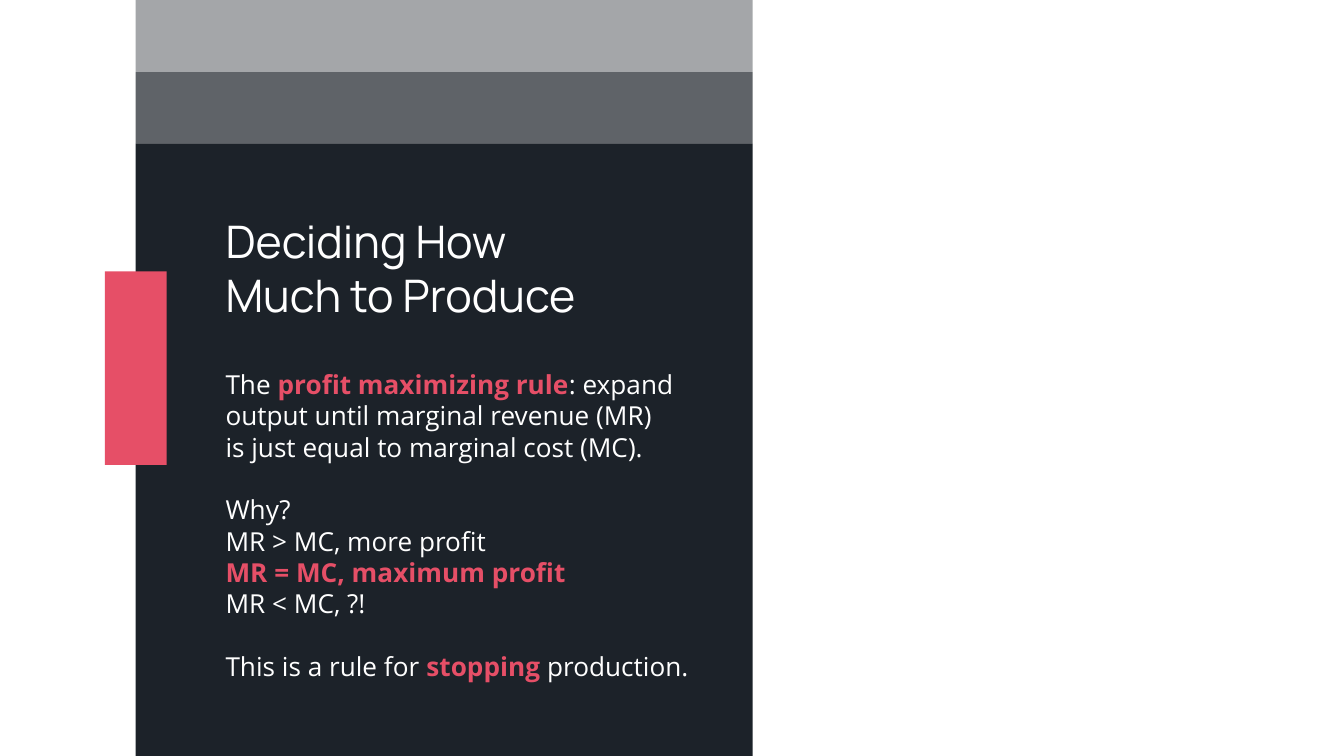
from pptx import Presentation
from pptx.dml.color import RGBColor
from pptx.enum.shapes import MSO_SHAPE as Shape
from pptx.enum.text import MSO_ANCHOR as Anchor, MSO_AUTO_SIZE as AutoSize
from pptx.oxml.ns import qn
from pptx.util import Inches, Pt
from lxml.etree import SubElement

NAVY, CORAL, WHITE = "1C2229", "E64F67", "FFFFFF"
SLIDE_WIDTH, SLIDE_HEIGHT = 10, 10 * 9 / 16
BLANK_LINE = 16.8  # points, one body line

RULE = [
    # (space before, [(text, highlighted), ...])
    (0, [("The ", False), ("profit maximizing rule", True),
         (": expand output until marginal revenue (MR)", False)]),
    (0, [("is just equal to marginal cost (MC).", False)]),
    (BLANK_LINE, [("Why?", False)]),
    (0, [("MR > MC, more profit", False)]),
    (0, [("MR = MC, maximum profit", True)]),
    (0, [("MR < MC, ?!", False)]),
    (BLANK_LINE, [("This is a rule for ", False), ("stopping ", True),
                  ("production.", False)]),
]


def color(value):
    return RGBColor.from_string(value)


def add_block(page, left, top, width, height, fill, opacity=100):
    block = page.shapes.add_shape(Shape.RECTANGLE, Inches(left), Inches(top),
                                  Inches(width), Inches(height))
    block.shadow.inherit = False
    block.line.fill.background()
    block.fill.solid()
    block.fill.fore_color.rgb = color(fill)
    if opacity < 100:
        tint = block.fill._xPr.find(qn("a:solidFill"))[0]
        SubElement(tint, qn("a:alpha"), val=str(opacity * 1000))


def add_text(page, left, top, width, height, paragraphs, *, font, size):
    box = page.shapes.add_textbox(Inches(left), Inches(top),
                                  Inches(width), Inches(height))
    frame = box.text_frame
    frame.word_wrap = True
    frame.auto_size = AutoSize.SHAPE_TO_FIT_TEXT
    frame.vertical_anchor = Anchor.TOP
    for index, (space, spans) in enumerate(paragraphs):
        para = frame.add_paragraph() if index else frame.paragraphs[0]
        if space:
            para.space_before = Pt(space)
        for text, highlighted in spans:
            span = para.add_run()
            span.text = text
            span.font.name = font
            span.font.size = Pt(size)
            span.font.bold = highlighted
            span.font.color.rgb = color(CORAL if highlighted else WHITE)


def add_panel(page, left, top, width, height):
    # Solid body below two translucent bands
    band = height * 2 / 21
    body_top = top + 2 * band
    add_block(page, left, body_top, width, height - 2 * band, NAVY)
    for row, opacity in ((1, 70), (0, 40)):
        add_block(page, left, top + row * band, width, band, NAVY, opacity)

    # Accent tab centred on the panel's left edge
    tab_width = 0.46
    add_block(page, left - tab_width / 2, top + 2.02, tab_width, 1.44, CORAL)

    # Title and rule share one left margin
    text_left = left + 0.57
    add_text(page, text_left, top + 1.54, 3.08, 0.91,
             [(0, [("Deciding How Much to Produce", False)])],
             font="Manrope", size=24)
    add_text(page, text_left, top + 2.69, 3.8, 2.69, RULE,
             font="Open Sans", size=14)


def main():
    deck = Presentation()
    deck.slide_width, deck.slide_height = Inches(SLIDE_WIDTH), Inches(SLIDE_HEIGHT)
    page = deck.slides.add_slide(deck.slide_layouts[6])
    add_panel(page, 1.01, 0, 4.59, SLIDE_HEIGHT)
    deck.save("out.pptx")


if __name__ == "__main__":
    main()
